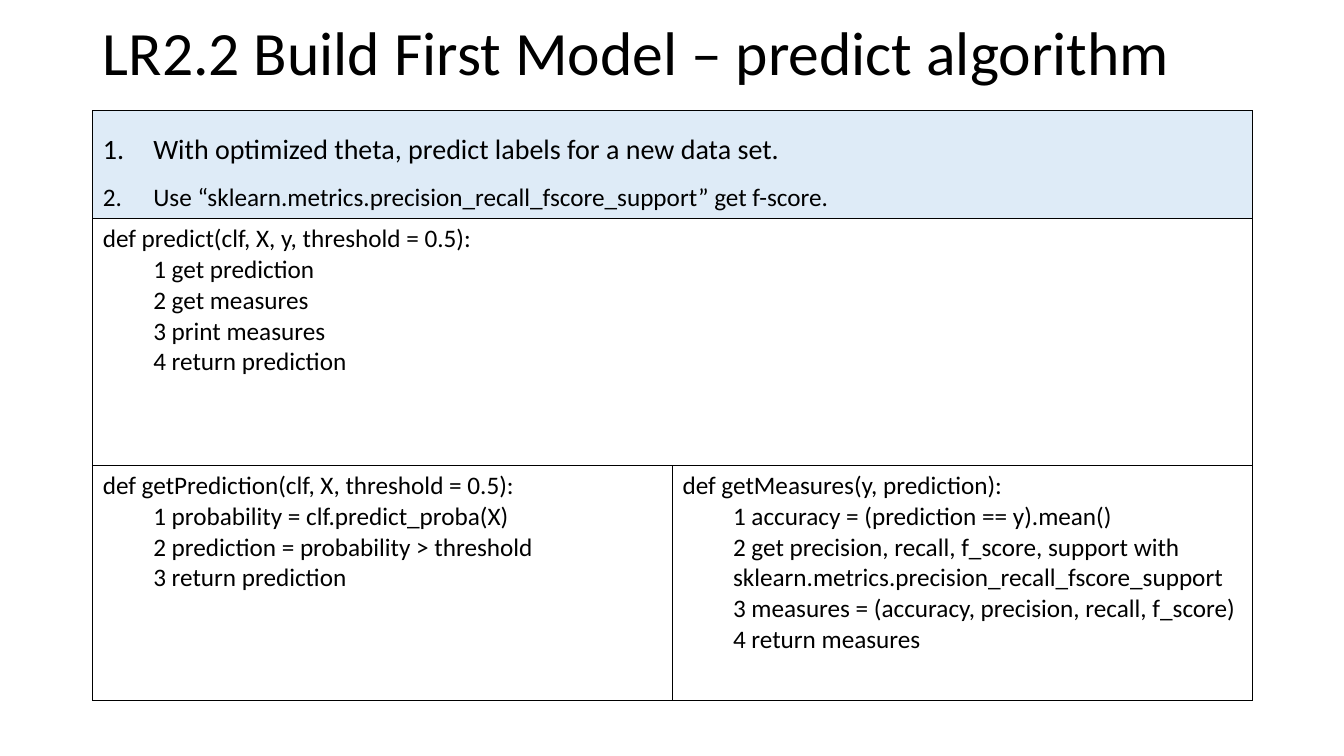
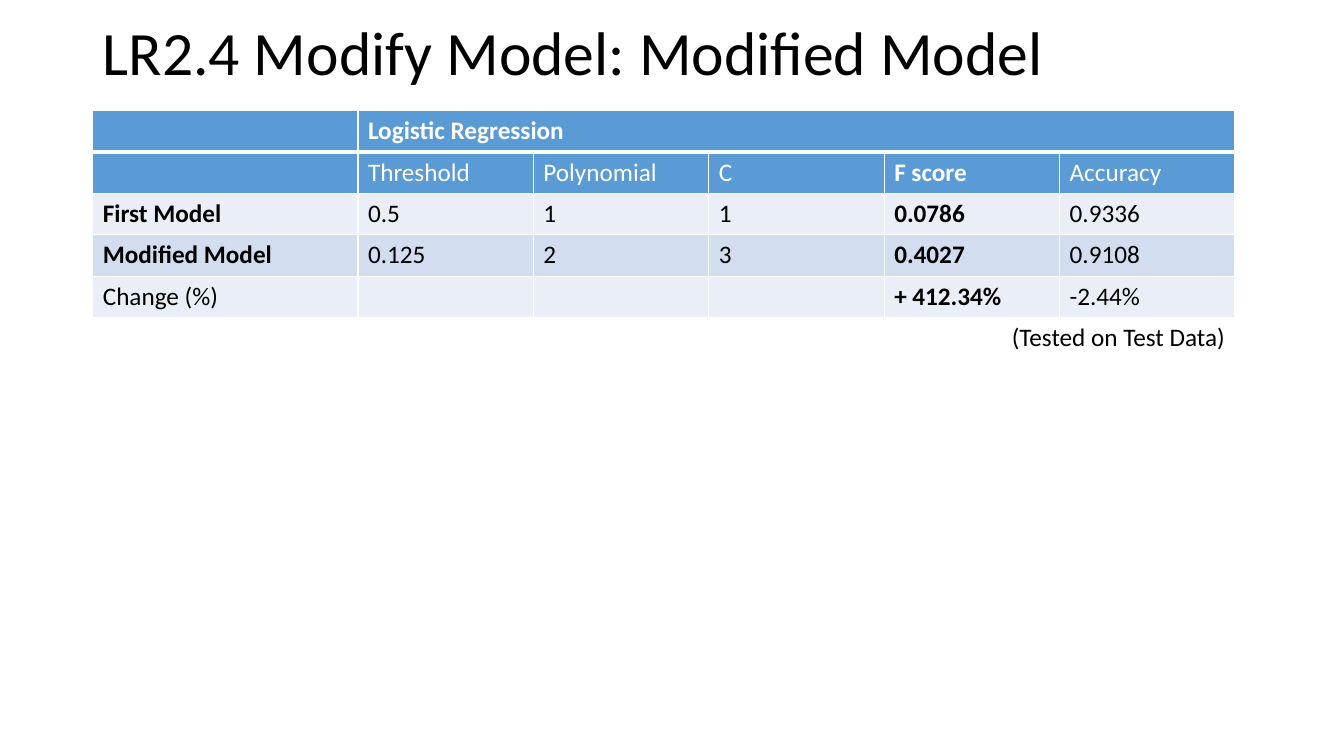
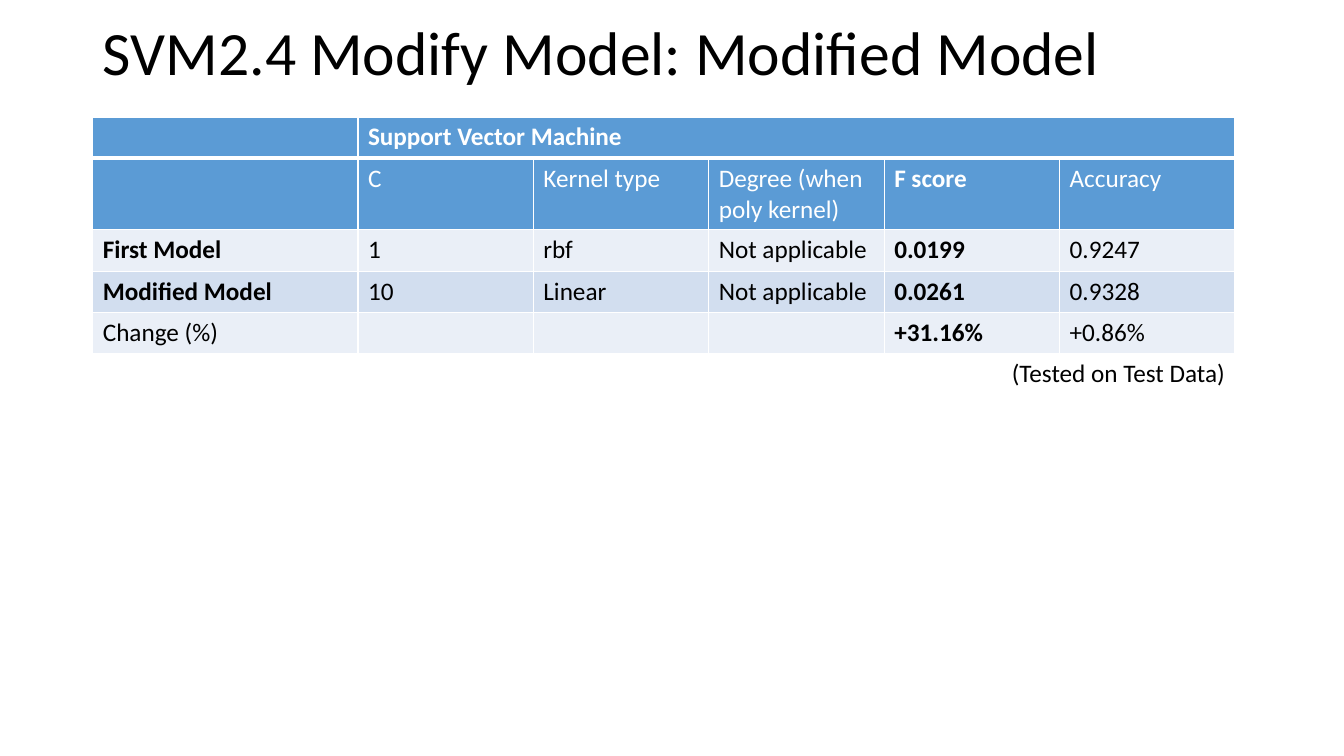
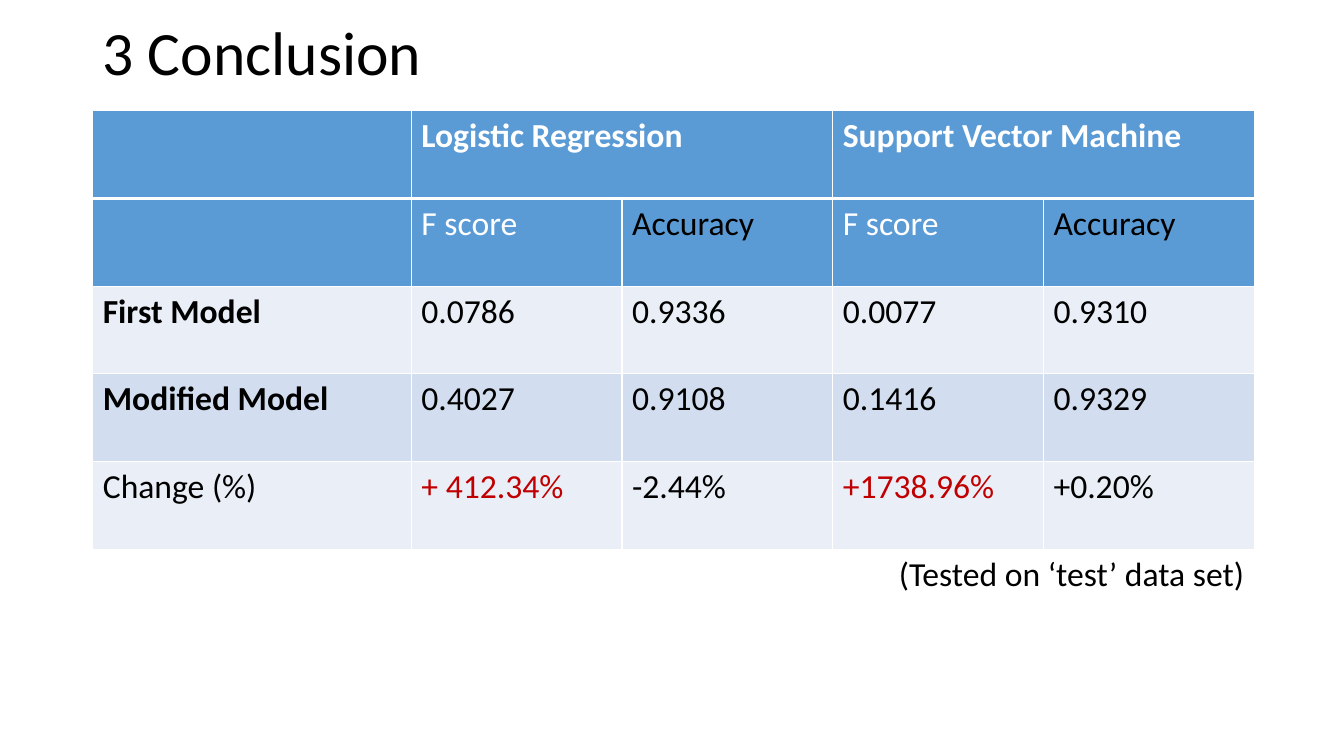
from pptx import Presentation
from pptx.dml.color import RGBColor
from pptx.enum.text import MSO_ANCHOR, PP_ALIGN
from pptx.oxml.ns import qn
from pptx.util import Inches, Pt
from lxml import etree

BLACK = RGBColor(0, 0, 0)
WHITE = RGBColor(0xFF, 0xFF, 0xFF)
BLUE = RGBColor(0x5B, 0x9B, 0xD5)
PALE = RGBColor(0xEA, 0xEF, 0xF7)
MID = RGBColor(0xD2, 0xDE, 0xEF)
SKY = RGBColor(0xDE, 0xEB, 0xF7)
RED = RGBColor(0xC0, 0, 0)
LEFT, RIGHT = PP_ALIGN.LEFT, PP_ALIGN.RIGHT
MIDDLE = MSO_ANCHOR.MIDDLE
FONT = "Calibri"
EDGE = 0.92
BANDS = [BLUE, BLUE, PALE, MID, PALE, None]

ALGO = {
    "title": "LR2.2 Build First Model – predict algorithm",
    "top": 1.1, "cols": [5.75, 5.75], "rows": [1.07, 2.45, 2.33],
    "steps": [
        ("With optimized theta, predict labels for a new data set.", 20),
        ("Use “sklearn.metrics.precision_recall_fscore_support” get f-score.", 18),
    ],
    "defs": [
        (1, 0, ["def predict(clf, X, y, threshold = 0.5):",
                "1 get prediction",
                "2 get measures",
                "3 print measures",
                "4 return prediction"]),
        (2, 0, ["def getPrediction(clf, X, threshold = 0.5):",
                "1 probability = clf.predict_proba(X)",
                "2 prediction = probability > threshold",
                "3 return prediction"]),
        (2, 1, ["def getMeasures(y, prediction):",
                "1 accuracy = (prediction == y).mean()",
                "2 get precision, recall, f_score, support with "
                "sklearn.metrics.precision_recall_fscore_support",
                "3 measures = (accuracy, precision, recall, f_score)",
                "4 return measures"]),
    ],
}

SCORES = [
    {
        "title": "LR2.4 Modify Model: Modified Model",
        "top": 1.1, "cols": [2.63] + [1.74] * 5, "rows": [0.41] * 6,
        "size": 18, "spans": [(1, 5)], "strong": [4], "tints": {},
        "cells": [
            ["", "Logistic Regression", "", "", "", ""],
            ["", "Threshold", "Polynomial", "C", "F score", "Accuracy"],
            ["First Model", "0.5", "1", "1", "0.0786", "0.9336"],
            ["Modified Model", "0.125", "2", "3", "0.4027", "0.9108"],
            ["Change (%)", "", "", "", "+ 412.34%", "-2.44%"],
            ["", "", "", "", "(Tested on Test Data)", ""],
        ],
    },
    {
        "title": "SVM2.4 Modify Model: Modified Model",
        "top": 1.16, "cols": [2.63] + [1.74] * 5,
        "rows": [0.41, 0.71] + [0.41] * 4,
        "size": 18, "spans": [(1, 5)], "strong": [4], "tints": {},
        "cells": [
            ["", "Support Vector Machine", "", "", "", ""],
            ["", "C", "Kernel type", "Degree (when poly kernel)", "F score", "Accuracy"],
            ["First Model", "1", "rbf", "Not applicable", "0.0199", "0.9247"],
            ["Modified Model", "10", "Linear", "Not applicable", "0.0261", "0.9328"],
            ["Change (%)", "", "", "", "+31.16%", "+0.86%"],
            ["", "", "", "", "(Tested on Test Data)", ""],
        ],
    },
    {
        "title": "3 Conclusion",
        "top": 1.1, "cols": [3.16] + [2.09] * 4, "rows": [0.87] * 6,
        "size": 24, "spans": [(1, 2), (3, 4)], "strong": [],
        "tints": {(1, 2): BLACK, (1, 4): BLACK, (4, 1): RED, (4, 3): RED},
        "cells": [
            ["", "Logistic Regression", "", "Support Vector Machine", ""],
            ["", "F score", "Accuracy", "F score", "Accuracy"],
            ["First Model", "0.0786", "0.9336", "0.0077", "0.9310"],
            ["Modified Model", "0.4027", "0.9108", "0.1416", "0.9329"],
            ["Change (%)", "+ 412.34%", "-2.44%", "+1738.96%", "+0.20%"],
            ["", "", "", "(Tested on ‘test’ data set)", ""],
        ],
    },
]


def style(font, size, color=BLACK, bold=False):
    look = {"name": FONT, "size": Pt(size), "bold": bold}
    for key, value in look.items():
        setattr(font, key, value)
    font.color.rgb = color


def start(deck, title):
    slide = deck.slides.add_slide(deck.slide_layouts[5])
    head = slide.shapes.title
    box = {"left": EDGE, "top": 0.14, "width": 11.5, "height": 0.82}
    for key, value in box.items():
        setattr(head, key, Inches(value))
    head.text_frame.vertical_anchor = MIDDLE
    head.text_frame.word_wrap = True
    para = head.text_frame.paragraphs[0]
    para.alignment = LEFT
    para.line_spacing = 0.9
    run = para.add_run()
    run.text = title
    style(run.font, 44)
    return slide


def rule(cell, color, top=1, base=1):
    props = cell._tc.get_or_add_tcPr()
    for side, width in {"L": 1, "R": 1, "T": top, "B": base}.items():
        line = etree.SubElement(props, qn("a:ln" + side), w=str(Pt(width)))
        fill = etree.SubElement(line, qn("a:solidFill"))
        etree.SubElement(fill, qn("a:srgbClr"), val=str(color))


def paint(cell, color):
    if color is None:
        cell.fill.background()
    else:
        cell.fill.solid()
        cell.fill.fore_color.rgb = color


def grid(slide, spec):
    cols, rows = spec["cols"], spec["rows"]
    frame = slide.shapes.add_table(
        len(rows), len(cols), Inches(EDGE), Inches(spec["top"]),
        Inches(sum(cols)), Inches(sum(rows)))
    table = frame.table
    table.first_row = table.horz_banding = False
    for col, width in zip(table.columns, cols):
        col.width = Inches(width)
    for row, height in zip(table.rows, rows):
        row.height = Inches(height)
    return table


def write(cell, index, text, size, color=BLACK, bold=False):
    body = cell.text_frame
    para = body.paragraphs[0] if index == 0 else body.add_paragraph()
    run = para.add_run()
    run.text = text
    style(run.font, size, color, bold)
    return para


def indent(para, hang=0):
    props = para._p.get_or_add_pPr()
    props.set("marL", str(Inches(0.5)))
    props.set("indent", str(Inches(hang)))
    return props


def plan(deck, spec):
    table = grid(start(deck, spec["title"]), spec)
    for r in range(3):
        for c in range(2):
            cell = table.cell(r, c)
            rule(cell, BLACK)
            paint(cell, SKY if r == 0 else None)
    for r in range(2):
        table.cell(r, 0).merge(table.cell(r, 1))
    for i, (text, size) in enumerate(spec["steps"]):
        para = write(table.cell(0, 0), i, text, size)
        para.line_spacing = 1.5
        props = indent(para, -0.5)
        etree.SubElement(props, qn("a:buFont"), typeface="+mj-lt")
        etree.SubElement(props, qn("a:buAutoNum"), type="arabicPeriod")
    for r, c, lines in spec["defs"]:
        for i, text in enumerate(lines):
            para = write(table.cell(r, c), i, text, 18)
            if i:
                para.level = 1
                indent(para)


def score(deck, spec):
    table = grid(start(deck, spec["title"]), spec)
    last = len(spec["rows"]) - 1
    for r, row in enumerate(spec["cells"]):
        for c, text in enumerate(row):
            cell = table.cell(r, c)
            rule(cell, WHITE, 3 if r == 1 else 1, 3 if r == 0 else 1)
            paint(cell, BANDS[r])
            if not text:
                continue
            bold = (r == 0 or (c == 0 and r in (2, 3))
                    or (c in spec["strong"] and r < last))
            color = spec["tints"].get((r, c), WHITE if r < 2 else BLACK)
            para = write(cell, 0, text, spec["size"], color, bold)
            if r == last:
                para.alignment = RIGHT
    for first, end in spec["spans"]:
        table.cell(0, first).merge(table.cell(0, end))
    end = len(spec["cols"]) - 1
    table.cell(last, end - 1).merge(table.cell(last, end))


deck = Presentation()
deck.slide_width = Inches(13.33)
deck.slide_height = Inches(7.5)
plan(deck, ALGO)
for spec in SCORES:
    score(deck, spec)
deck.save("out.pptx")
